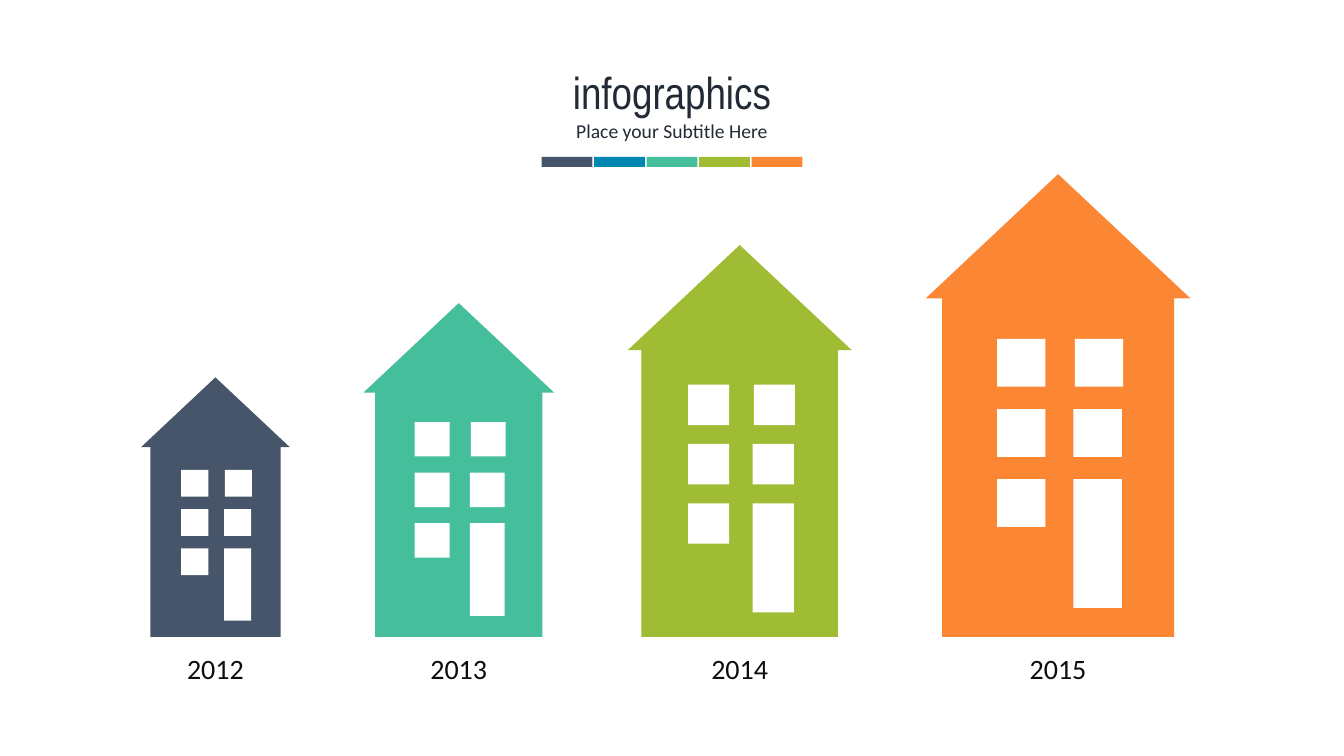
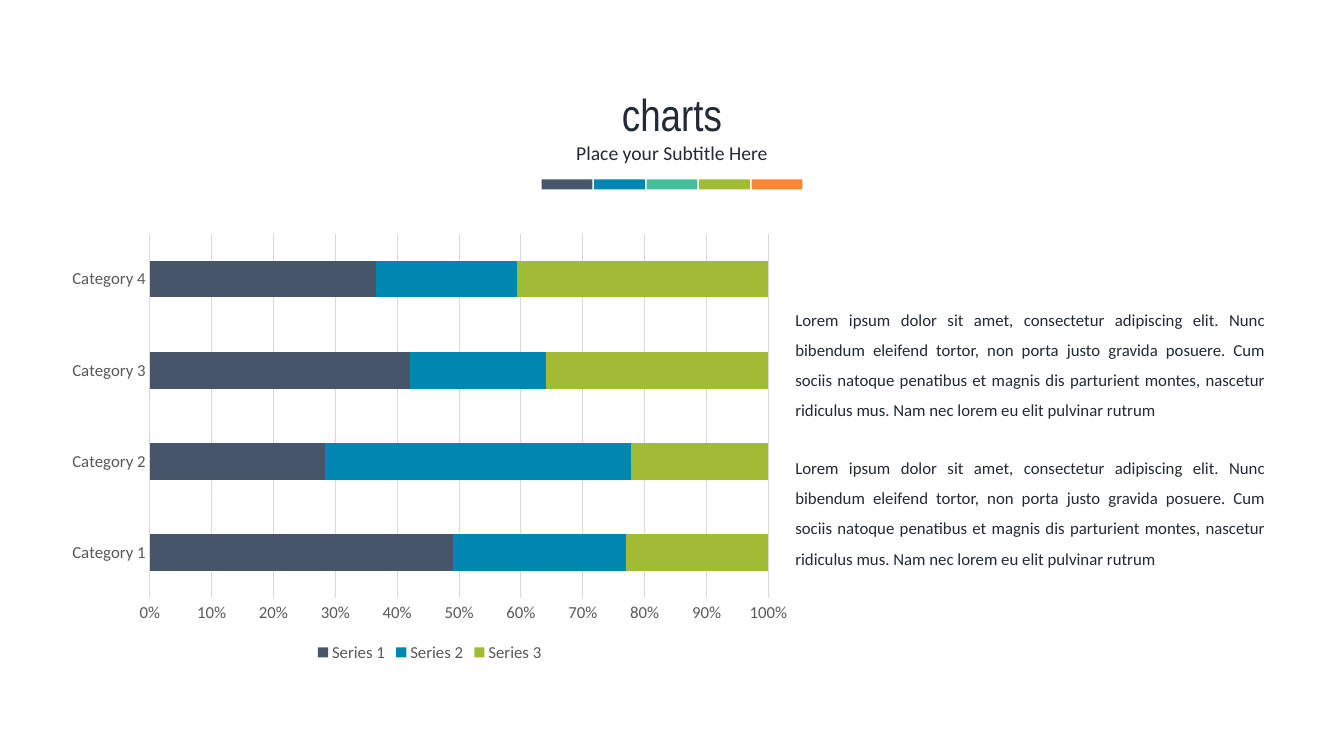
from dataclasses import dataclass
from typing import Any

from pptx import Presentation
from pptx import util as u
from pptx.chart import data as chart_data
from pptx.dml import color
from pptx.enum import chart as ce
from pptx.enum import shapes, text

Pt = u.Pt
SLIDE_WIDTH, SLIDE_HEIGHT = 960, 540
NAVY, BLUE, TEAL, GREEN, ORANGE = "46556A", "0087B1", "45BE9B", "A0BC34", "FB8734"
WHITE, INK, BLACK, GREY, GRID = "FFFFFF", "222A35", "0D0D0D", "595959", "D9D9D9"
STRIP_COLOURS = [NAVY, BLUE, TEAL, GREEN, ORANGE]
STRIP_LEFT, STRIP_STEP, STRIP_WIDTH, STRIP_HEIGHT = 386.9, 37.5, 36.3, 7.1
GROUND = 455
RECT = shapes.MSO_SHAPE.RECTANGLE
TRIANGLE = shapes.MSO_SHAPE.ISOSCELES_TRIANGLE
CENTER, JUSTIFY = text.PP_ALIGN.CENTER, text.PP_ALIGN.JUSTIFY
LOREM = (
    "Lorem ipsum dolor sit amet, consectetur adipiscing elit. Nunc bibendum "
    "eleifend tortor, non porta justo gravida posuere. Cum sociis natoque "
    "penatibus et magnis dis parturient montes, nascetur ridiculus mus. "
    "Nam nec lorem eu elit pulvinar rutrum"
)


@dataclass(frozen=True)
class Box:
    left: float
    top: float
    width: float
    height: float

    def lengths(self) -> list[u.Length]:
        return [Pt(n) for n in (self.left, self.top, self.width, self.height)]


@dataclass(frozen=True)
class TextStyle:
    size: float
    colour: str
    align: Any = CENTER
    spacing: float = 1.0
    font: str = "Calibri"


@dataclass(frozen=True)
class House:
    year: str
    left: float
    width: float
    colour: str


@dataclass(frozen=True)
class Series:
    name: str
    values: tuple[int, ...]
    colour: str


TITLE = TextStyle(32, INK, font="Arial Narrow")
SUBTITLE = TextStyle(14, INK)
YEAR = TextStyle(20, BLACK, spacing=1.5)
BODY = TextStyle(12, INK, JUSTIFY, 1.5)

HOUSES = [
    House("2012", 107.4, 93, NAVY),
    House("2013", 267.9, 119.6, TEAL),
    House("2014", 458.2, 140.4, GREEN),
    House("2015", 672.9, 165.8, ORANGE),
]

CATEGORIES = [f"Category {n}" for n in range(1, 5)]
SERIES = [
    Series("Series 1", (49, 28, 42, 37), NAVY),
    Series("Series 2", (28, 49, 22, 23), BLUE),
    Series("Series 3", (23, 22, 36, 41), GREEN),
]


def apply(target: Any, values: dict[str, Any]) -> None:
    for name, value in values.items():
        setattr(target, name, value)


def paint(part: Any, colour: str) -> None:
    part.solid()
    part.fore_color.rgb = color.RGBColor.from_string(colour)


def format_font(font: Any, size: float, colour: str, family: str = "Calibri") -> None:
    apply(font, {"size": Pt(size), "name": family, "bold": False})
    paint(font.fill, colour)


def add_block(parent: Any, preset: Any, box: Box, colour: str) -> None:
    block = parent.shapes.add_shape(preset, *box.lengths())
    block.shadow.inherit = False
    paint(block.fill, colour)
    block.line.fill.background()


def add_text(parent: Any, words: str, box: Box, style: TextStyle) -> None:
    frame = parent.shapes.add_textbox(*box.lengths()).text_frame
    apply(frame, {"word_wrap": True, "auto_size": text.MSO_AUTO_SIZE.SHAPE_TO_FIT_TEXT})
    paragraph = frame.paragraphs[0]
    apply(paragraph, {"alignment": style.align, "line_spacing": style.spacing})
    run = paragraph.add_run()
    run.text = words
    format_font(run.font, style.size, style.colour, style.font)


def add_heading(slide: Any, title: str, top: float) -> None:
    heading = slide.shapes.add_group_shape()
    add_text(heading, title, Box(0, top, SLIDE_WIDTH, 46), TITLE)
    add_text(heading, "Place your Subtitle Here", Box(49, top + 38.6, 862, 24.2), SUBTITLE)
    for index, colour in enumerate(STRIP_COLOURS):
        left = STRIP_LEFT + index * STRIP_STEP
        add_block(heading, RECT, Box(left, top + 69.5, STRIP_WIDTH, STRIP_HEIGHT), colour)


def add_house(slide: Any, house: House) -> None:
    group = slide.shapes.add_group_shape()
    unit = house.width
    wall_top = GROUND - 1.484 * unit

    def part(preset: Any, x: float, y: float, w: float, h: float, colour: str) -> None:
        box = Box(house.left + x * unit, wall_top + y * unit, w * unit, h * unit)
        add_block(group, preset, box, colour)

    part(RECT, 0, 0, 1, 1.484, house.colour)
    part(TRIANGLE, -0.07, -0.51, 1.14, 0.535, house.colour)
    left_column, right_column, pane_width, pane_height = 0.237, 0.566, 0.209, 0.206
    rows = [0.2 + 0.302 * n for n in range(3)]
    for row in rows:
        part(RECT, left_column, row, pane_width, pane_height, WHITE)
    part(RECT, right_column + 0.006, rows[0], pane_width, pane_height, WHITE)
    part(RECT, right_column, rows[1], pane_width, pane_height, WHITE)
    part(RECT, right_column, rows[2], pane_width, 0.555, WHITE)


def add_year(slide: Any, house: House) -> None:
    width = 148
    left = house.left + (house.width - width) / 2
    add_text(slide, house.year, Box(left, 449.5, width, 44), YEAR)


def add_shares_chart(slide: Any, box: Box) -> None:
    shares = chart_data.CategoryChartData()
    shares.categories = CATEGORIES
    for series in SERIES:
        shares.add_series(series.name, series.values)
    chart = slide.shapes.add_chart(
        ce.XL_CHART_TYPE.BAR_STACKED_100, *box.lengths(), shares
    ).chart
    apply(chart, {"has_title": False, "has_legend": True})
    format_font(chart.font, 12, GREY)
    apply(chart.legend, {"position": ce.XL_LEGEND_POSITION.BOTTOM, "include_in_layout": False})
    format_font(chart.legend.font, 12, GREY)

    plot = chart.plots[0]
    apply(plot, {"gap_width": 150, "overlap": 100, "vary_by_categories": False})
    for bars, series in zip(plot.series, SERIES):
        paint(bars.format.fill, series.colour)

    no_tick = ce.XL_TICK_MARK.NONE
    for axis in (chart.category_axis, chart.value_axis):
        apply(axis, {"major_tick_mark": no_tick, "minor_tick_mark": no_tick})
        axis.format.line.fill.background()
        format_font(axis.tick_labels.font, 12, GREY)
    chart.category_axis.has_major_gridlines = False
    chart.value_axis.has_major_gridlines = True
    apply(chart.value_axis.tick_labels, {"number_format": "0%", "number_format_is_linked": False})
    grid = chart.value_axis.major_gridlines.format.line
    grid.width = Pt(0.75)
    paint(grid.fill, GRID)


def build_infographics(slide: Any) -> None:
    add_heading(slide, "infographics", 42.6)
    for house in HOUSES:
        add_house(slide, house)
    for house in HOUSES:
        add_year(slide, house)


def build_charts(slide: Any) -> None:
    add_heading(slide, "charts", 58.7)
    add_shares_chart(slide, Box(41, 160.6, 532, 315.4))
    for top in (210.2, 316.2):
        add_text(slide, LOREM, Box(561, top, 350, 94.3), BODY)


def main() -> None:
    deck = Presentation()
    apply(deck, {"slide_width": Pt(SLIDE_WIDTH), "slide_height": Pt(SLIDE_HEIGHT)})
    for build in (build_infographics, build_charts):
        slide = deck.slides.add_slide(deck.slide_layouts[6])
        paint(slide.background.fill, WHITE)
        build(slide)
    deck.save("out.pptx")


if __name__ == "__main__":
    main()
